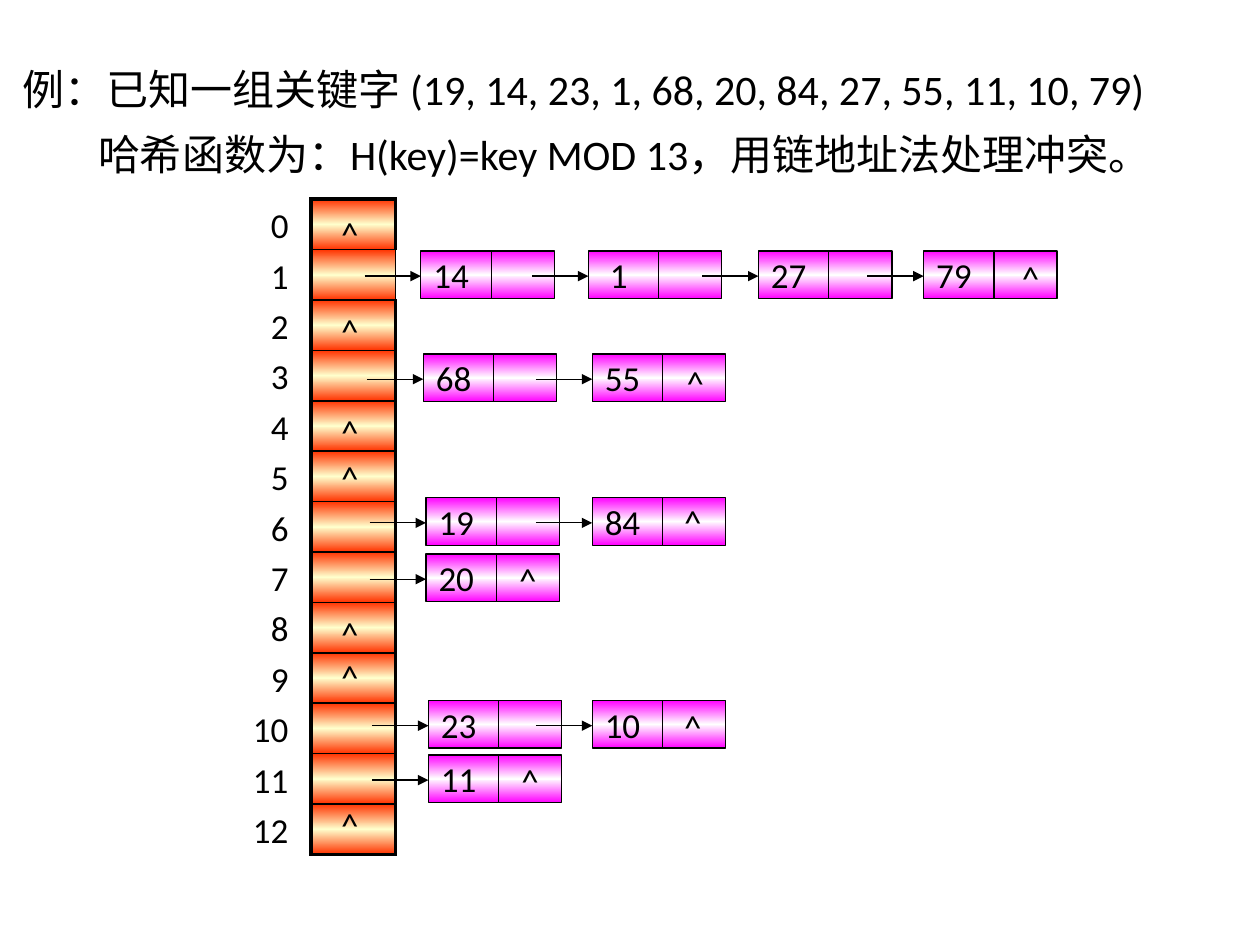
from dataclasses import dataclass

from pptx import Presentation
from pptx.dml.color import RGBColor
from pptx.enum.shapes import MSO_CONNECTOR, MSO_SHAPE
from pptx.enum.text import MSO_ANCHOR, MSO_AUTO_SIZE, PP_ALIGN
from pptx.oxml.ns import qn
from pptx.util import Pt
from lxml import etree

LEFT, CENTER, RIGHT = PP_ALIGN.LEFT, PP_ALIGN.CENTER, PP_ALIGN.RIGHT
TOP, MIDDLE = MSO_ANCHOR.TOP, MSO_ANCHOR.MIDDLE
STRAIGHT, RECT = MSO_CONNECTOR.STRAIGHT, MSO_SHAPE.RECTANGLE


@dataclass(frozen=True)
class Theme:
    font: str = "Calibri"
    title_size: float = 24
    label_size: float = 20
    ink: str = "000000"
    bucket: tuple = ("FF3300", "FFFFCC", "FF3300")
    node: tuple = ("FF00FF", "FFFFFF", "FF00FF")
    thin: float = 0.75
    rule: float = 1
    frame: float = 2.25


T = Theme()
TITLE = ("例：已知一组关键字 (19, 14, 23, 1, 68, 20, 84, 27, 55, 11, 10, 79)",
         "哈希函数为：H(key)=key MOD 13，用链地址法处理冲突。")
NULL = "^"
BUCKETS = 13
ROW_H = 28.8
NODE_W, NODE_H, DIVIDER = 76.3, 27.2, 40.2
VALUE_W = 34.7
ARROW_LEN, ARROW_Y = 32.2, 14.4

# Empty bucket: offset of its null mark from the top of its row
EMPTY = {0: 4.3, 2: 2.2, 4: 2.2, 5: -0.7, 8: 2.2, 9: -2.2, 12: -3.6}

# Chain: top, offset of the null mark in the last node, {key: left}
CHAINS = (
    (143.4, (49, -0.4), {14: 240.5, 1: 336.2, 27: 433.4, 79: 527.8}),
    (202.3, (46.8, 0.7), {68: 241.9, 55: 338.4}),
    (284.4, (45.4, -2.2), {19: 243.4, 84: 338.4}),
    (316.6, (46.1, -0.7), {20: 243.4}),
    (400.3, (45.4, -0.7), {23: 244.8, 10: 338.4}),
    (431.4, (46.1, -0.7), {11: 244.8}),
)


def style(p, size, align=LEFT, spacing=None):
    p.alignment = align
    p.font.name = T.font
    p.font.size = Pt(size)
    p.font.color.rgb = RGBColor.from_string(T.ink)
    if spacing:
        p.line_spacing = spacing


def write(tf, lines, size, align=LEFT, spacing=None, anchor=TOP):
    tf.word_wrap = True
    tf.auto_size = MSO_AUTO_SIZE.NONE
    tf.vertical_anchor = anchor
    tf.text = "\n".join(lines)
    for p in tf.paragraphs:
        style(p, size, align, spacing)


def band_fill(fill, owner, colors):
    """Vertical gradient with evenly spaced stops."""
    fill.gradient()
    fill.gradient_angle = 270
    stops = owner.find(".//" + qn("a:gsLst"))
    for gs in list(stops):
        stops.remove(gs)
    for i, color in enumerate(colors):
        pos = str(100000 * i // (len(colors) - 1))
        gs = etree.SubElement(stops, qn("a:gs"), pos=pos)
        etree.SubElement(gs, qn("a:srgbClr"), val=color)


def set_borders(cell, **widths):
    tcPr = cell._tc.get_or_add_tcPr()
    for i, (side, width) in enumerate(widths.items()):
        ln = etree.Element(qn("a:ln" + side), w=str(Pt(width)))
        fill = etree.SubElement(ln, qn("a:solidFill"))
        etree.SubElement(fill, qn("a:srgbClr"), val=T.ink)
        tcPr.insert(i, ln)


def add_line(s, x1, y1, x2, y2, arrow=False):
    c = s.shapes.add_connector(STRAIGHT, Pt(x1), Pt(y1), Pt(x2), Pt(y2))
    c.line.color.rgb = RGBColor.from_string(T.ink)
    c.line.width = Pt(T.thin)
    spPr = c._element.spPr
    if arrow:
        etree.SubElement(spPr.find(qn("a:ln")), qn("a:tailEnd"), type="triangle")
    etree.SubElement(spPr, qn("a:effectLst"))


def add_null(s, x, y):
    tb = s.shapes.add_textbox(Pt(x), Pt(y), Pt(26), Pt(31))
    write(tb.text_frame, [NULL], T.label_size)


def add_title(s, x, y, w, h):
    title = s.shapes.title
    title.left, title.top, title.width, title.height = Pt(x), Pt(y), Pt(w), Pt(h)
    write(title.text_frame, TITLE, T.title_size)
    second = title.text_frame.paragraphs[1]
    second.line_spacing = 1.3
    second._p.get_or_add_pPr().set("indent", str(Pt(43)))


def add_indices(s, x, y, w, h):
    tb = s.shapes.add_textbox(Pt(x), Pt(y), Pt(w), Pt(h))
    write(tb.text_frame, map(str, range(BUCKETS)), T.label_size, RIGHT, 1.2)


def add_buckets(s, x, y, w):
    frame = s.shapes.add_table(BUCKETS, 1, Pt(x), Pt(y), Pt(w), Pt(BUCKETS * ROW_H))
    table = frame.table
    table.first_row = table.horz_banding = False
    table.columns[0].width = Pt(w)
    for i, row in enumerate(table.rows):
        row.height = Pt(ROW_H)
        cell = row.cells[0]
        cell.margin_top = cell.margin_bottom = 0
        style(cell.text_frame.paragraphs[0], T.label_size)
        band_fill(cell.fill, cell._tc, T.bucket)
        set_borders(cell, L=T.frame,
                    R=T.rule if i == 1 else T.frame,
                    T=T.frame if i == 0 else T.rule,
                    B=T.frame if i == BUCKETS - 1 else T.rule)
    for i, offset in EMPTY.items():
        add_null(s, x + 10, y + i * ROW_H + offset)


def add_node(s, x, y, key):
    """Key and pointer cells, with the arrow that leads to them."""
    sp = s.shapes.add_shape(RECT, Pt(x), Pt(y), Pt(NODE_W), Pt(NODE_H))
    sp.shadow.inherit = False
    band_fill(sp.fill, sp._element.spPr, T.node)
    sp.line.color.rgb = RGBColor.from_string(T.ink)
    sp.line.width = Pt(T.thin)
    tf = sp.text_frame
    tf.margin_left, tf.margin_right = 0, Pt(NODE_W - VALUE_W)
    write(tf, [str(key)], T.label_size, CENTER, anchor=MIDDLE)
    add_line(s, x + DIVIDER, y, x + DIVIDER, y + NODE_H)
    add_line(s, x - ARROW_LEN, y + ARROW_Y, x, y + ARROW_Y, arrow=True)


def add_chain(s, y, null_offset, nodes):
    for key, x in nodes.items():
        add_node(s, x, y, key)
    dx, dy = null_offset
    add_null(s, x + dx, y + dy)


def main():
    prs = Presentation()
    prs.slide_width, prs.slide_height = Pt(720), Pt(540)
    s = prs.slides.add_slide(prs.slide_layouts[5])
    add_title(s, 5.8, 32.4, 690, 74)
    add_indices(s, 130, 108, 42, 381)
    add_buckets(s, 177.8, 113.8, 48.2)
    for y, null_offset, nodes in CHAINS:
        add_chain(s, y, null_offset, nodes)
    prs.save("out.pptx")


if __name__ == "__main__":
    main()
